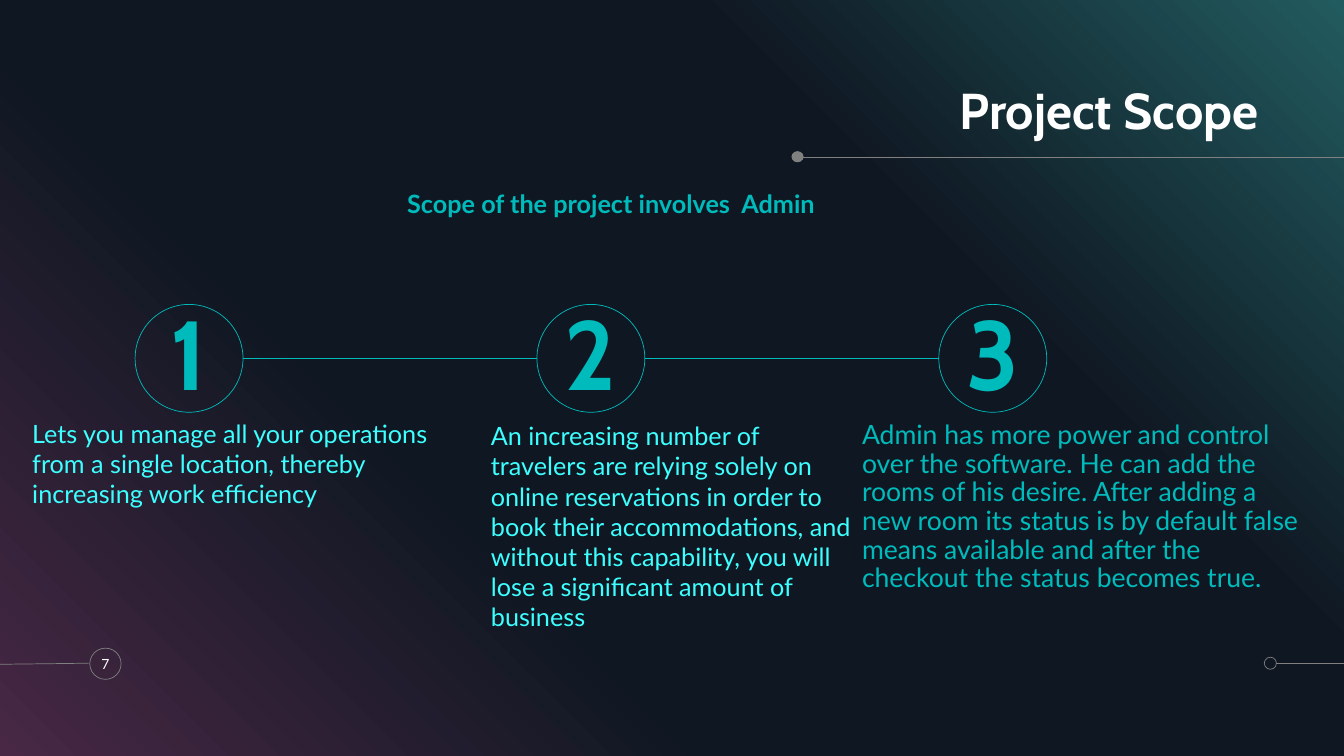
from copy import deepcopy
from pptx import Presentation
from pptx.dml.color import RGBColor
from pptx.enum.shapes import MSO_CONNECTOR as Connector, MSO_SHAPE as Shape
from pptx.enum.text import MSO_ANCHOR as Anchor, PP_ALIGN as Align
from pptx.oxml.ns import qn
from pptx.util import Inches, Pt

WHITE = RGBColor(0xFF, 0xFF, 0xFF)
GREY = RGBColor(0x80, 0x80, 0x80)
TEAL = RGBColor(0x00, 0xBB, 0xBB)
AQUA = RGBColor(0x3D, 0xFF, 0xFF)
PLUM = RGBColor(0x48, 0x28, 0x45)
NAVY = RGBColor(0x0F, 0x17, 0x22)
PINE = RGBColor(0x22, 0x5B, 0x5F)
HEADING_FONT = "Cabin"
BODY_FONT = "Lato"


class Deck:
    """Places elements by percent of the slide's width and height."""

    def __init__(self):
        self.presentation = Presentation()
        self.presentation.slide_width = Inches(13.33)
        self.presentation.slide_height = Inches(7.5)
        self.slide = self.presentation.slides.add_slide(
            self.presentation.slide_layouts[6])
        self.shapes = self.slide.shapes

    def lengths(self, *percents):
        sizes = (self.presentation.slide_width, self.presentation.slide_height)
        return [round(percent * sizes[index % 2] / 100)
                for index, percent in enumerate(percents)]

    def background(self, angle, stops):
        fill = self.slide.background.fill
        fill.gradient()
        fill.gradient_angle = angle
        stop_list = self.slide.element.find(".//" + qn("a:gsLst"))
        while len(stop_list) < len(stops):
            stop_list.append(deepcopy(stop_list[0]))
        for stop, (position, color) in zip(fill.gradient_stops, stops):
            stop.position = position
            stop.color.rgb = color

    def line(self, start, end, color=GREY):
        connector = self.shapes.add_connector(
            Connector.STRAIGHT, *self.lengths(*start, *end))
        connector.line.color.rgb = color
        connector.line.width = Pt(0.5)
        properties = connector.element.spPr
        properties.append(properties.makeelement(qn("a:effectLst"), {}))

    def circle(self, box, color=GREY, solid=False):
        shape = self.shapes.add_shape(Shape.OVAL, *self.lengths(*box))
        shape.shadow.inherit = False
        if solid:
            shape.fill.solid()
            shape.fill.fore_color.rgb = color
            shape.line.fill.background()
        else:
            shape.fill.background()
            shape.line.color.rgb = color
            shape.line.width = Pt(0.5)
        return shape

    def text_box(self, box, words, **style):
        self.label(self.shapes.add_textbox(*self.lengths(*box)), words, **style)

    def label(self, shape, words, size, color, font=BODY_FONT, bold=False,
              align=Align.LEFT, anchor=Anchor.TOP, spacing=1.0):
        frame = shape.text_frame
        frame.word_wrap = True
        frame.vertical_anchor = anchor
        frame.margin_left = frame.margin_right = 0
        frame.margin_top = frame.margin_bottom = 0
        paragraph = frame.paragraphs[0]
        paragraph.alignment = align
        paragraph.line_spacing = spacing
        run = paragraph.add_run()
        run.text = words
        run.font.name = font
        run.font.size = Pt(size)
        run.font.bold = bold
        run.font.color.rgb = color


deck = Deck()
deck.background(45, [(0, PLUM), (0.34, NAVY), (0.69, NAVY), (1, PINE)])

deck.line((59.56, 20.8), (100, 20.8))
deck.circle((58.89, 20, 0.9, 1.47), solid=True)
deck.line((94.97, 87.73), (100, 87.73))
deck.circle((94.07, 86.93, 0.9, 1.6))
deck.line((0, 87.87), (6.6, 87.73))
page_badge = deck.circle((6.68, 85.73, 2.33, 4.13))
deck.label(page_badge, "7", size=10, color=WHITE,
           align=Align.CENTER, anchor=Anchor.MIDDLE)

deck.text_box((41.86, 10.27, 51.76, 8.27), "Project Scope", size=36,
              color=WHITE, font=HEADING_FONT, bold=True, align=Align.RIGHT,
              anchor=Anchor.BOTTOM, spacing=0.9)
deck.text_box((4.58, 24.93, 81.77, 8.27), "Scope of the project involves  Admin",
              size=18, color=TEAL, bold=True, align=Align.CENTER)

STEP_LEFT, STEP_TOP, STEP_PITCH = 10.05, 40.27, 29.9
STEP_WIDTH, STEP_HEIGHT = 8.03, 14.27
STEP_MIDDLE = STEP_TOP + STEP_HEIGHT / 2

steps = [
    ((2.4, 55.33, 32.56, 28.13), 18, AQUA, 1.0,
     "Lets you manage all your operations from a single location, "
     "thereby increasing work efficiency"),
    ((36.53, 55.6, 26.86, 27.47), 18, AQUA, 1.0,
     "An increasing number of travelers are relying solely on online "
     "reservations in order to book their accommodations, and without this "
     "capability, you will lose a significant amount of business"),
    ((64.14, 55.73, 32.86, 24.27), 19, TEAL, 0.9,
     "Admin has more power and control over the software. He can add the "
     "rooms of his desire. After adding a new room its status is by default "
     "false means available and after the checkout the status becomes true."),
]
for index, (box, size, color, spacing, words) in enumerate(steps):
    left = STEP_LEFT + index * STEP_PITCH
    if index:
        deck.line((left - STEP_PITCH + STEP_WIDTH, STEP_MIDDLE),
                  (left, STEP_MIDDLE), TEAL)
    badge = deck.circle((left, STEP_TOP, STEP_WIDTH, STEP_HEIGHT), TEAL)
    deck.label(badge, str(index + 1), size=70, color=TEAL, font=HEADING_FONT,
               bold=True, align=Align.CENTER, anchor=Anchor.MIDDLE, spacing=0.9)
    deck.text_box(box, words, size=size, color=color, spacing=spacing)

deck.presentation.save("out.pptx")
